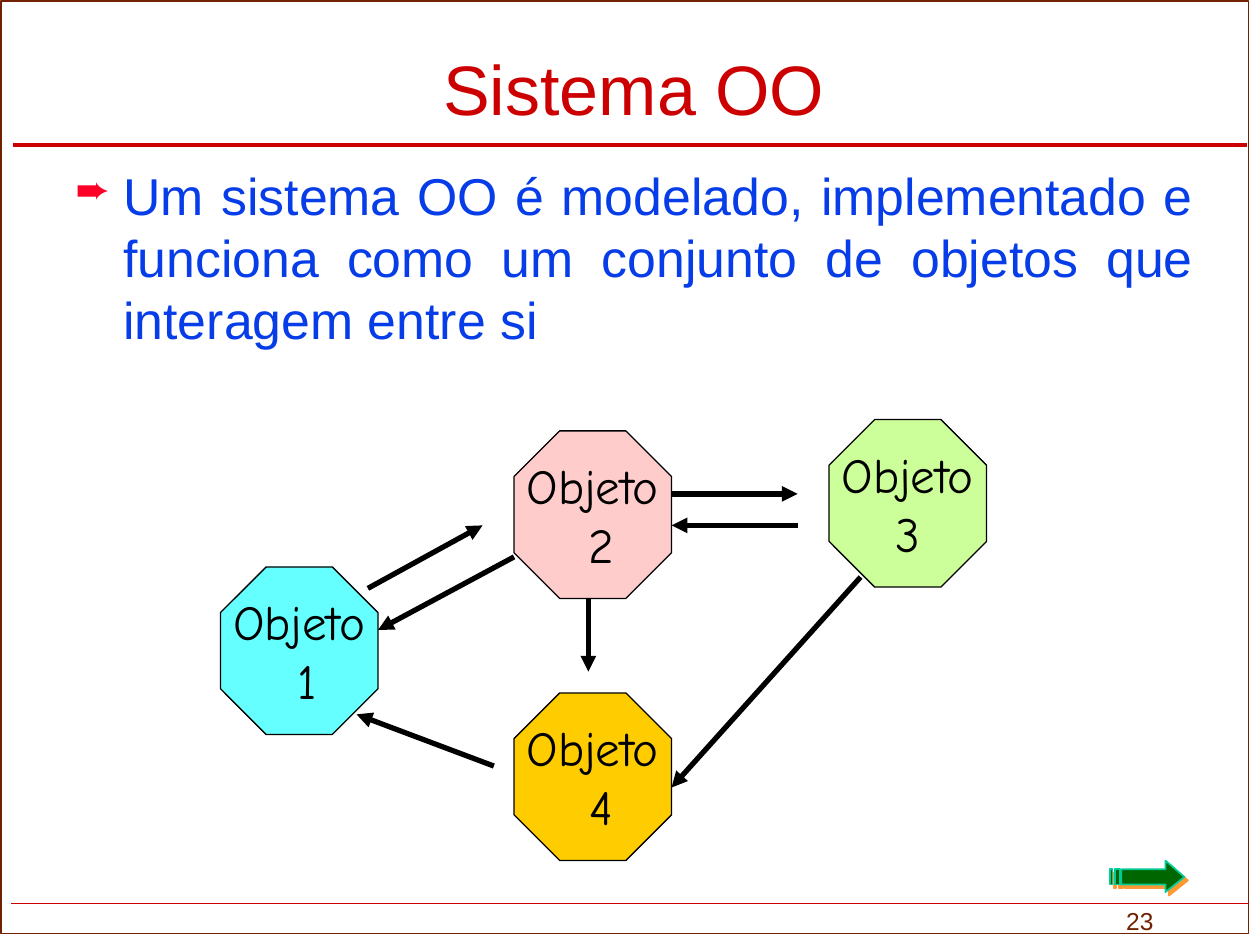
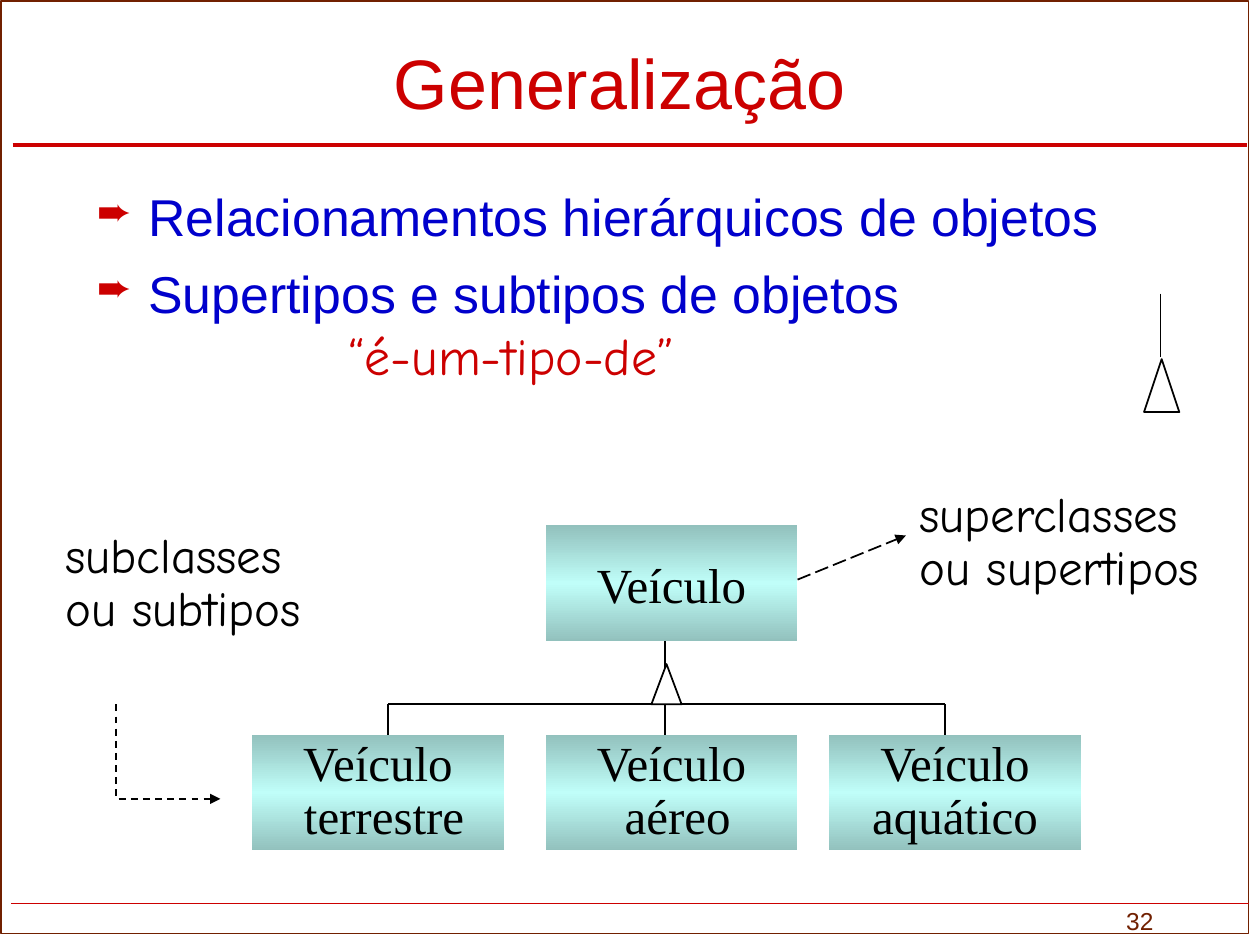
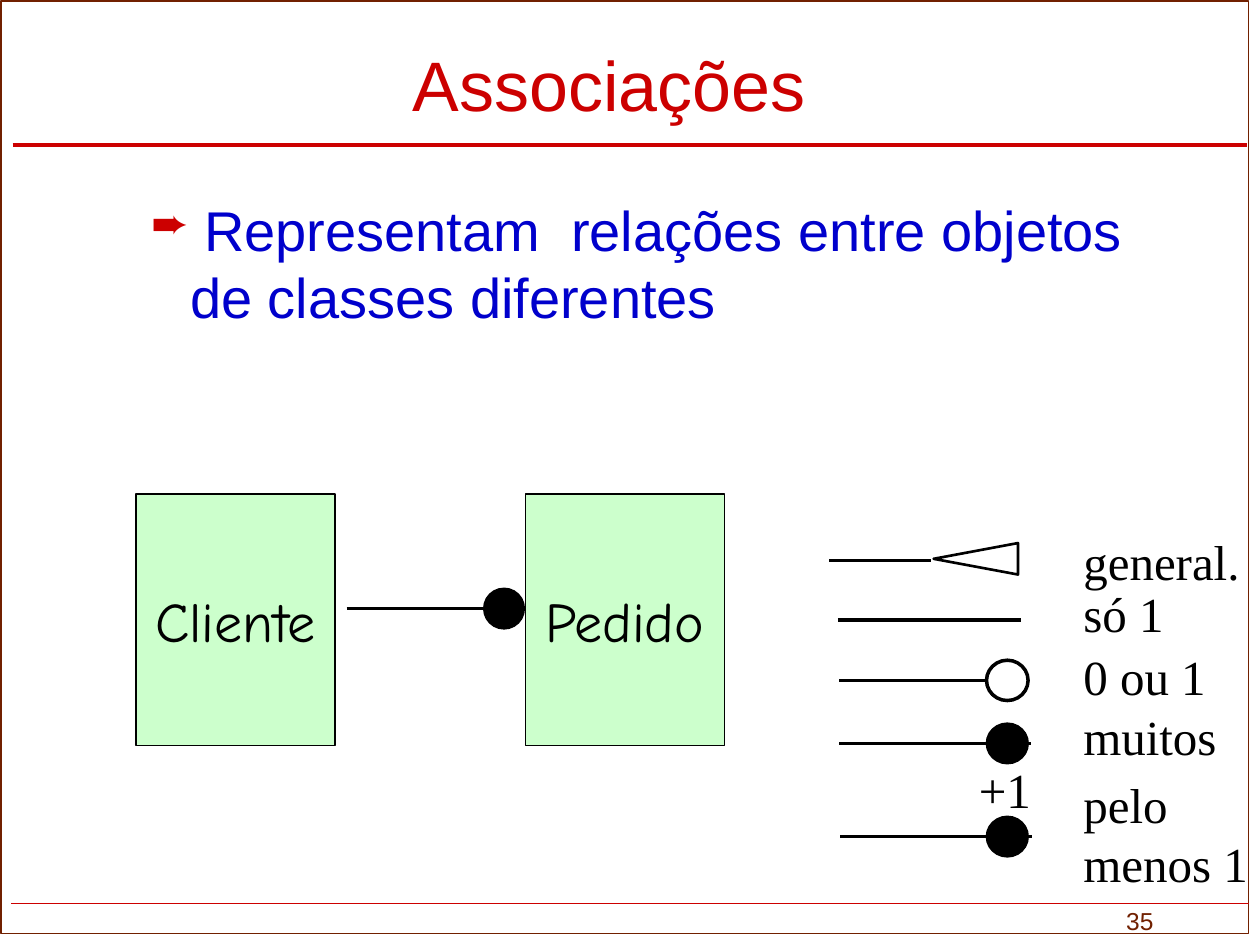
from dataclasses import dataclass
from typing import Any, NamedTuple, Optional

from lxml import etree
from pptx import Presentation, util as u
from pptx.dml.color import RGBColor
from pptx.enum import dml, shapes, text
from pptx.oxml import ns

MIDDLE, BOTTOM, TOP = (text.MSO_ANCHOR.MIDDLE, text.MSO_ANCHOR.BOTTOM,
                       text.MSO_ANCHOR.TOP)
CENTER, JUSTIFY = text.PP_ALIGN.CENTER, text.PP_ALIGN.JUSTIFY
Shape = shapes.MSO_SHAPE


@dataclass(frozen=True)
class Theme:
    # Colours
    red: str = "CC0000"
    brown: str = "712000"
    black: str = "000000"
    white: str = "FFFFFF"
    blue: str = "0000CC"
    bright_blue: str = "063DE8"
    bright_red: str = "FC0128"
    class_green: str = "CCFFCC"
    box_edge: str = "92C1BD"
    box_middle: str = "C0FEF9"
    arrow_fill: str = "006600"
    arrow_line: str = "00CC99"
    arrow_shadow: str = "FF9933"
    # Fonts
    sans: str = "Arial"
    hand: str = "Comic Neue"
    serif: str = "Times New Roman"
    # Type sizes
    title: float = 40
    large: float = 32
    body: float = 29.6
    label: float = 28
    number: float = 14


T = Theme()


class Box(NamedTuple):
    left: float
    top: float
    width: float
    height: float

    def inches(self) -> list:
        return [u.Inches(value) for value in self]


class Style(NamedTuple):
    font: str
    size: float
    color: str = T.black


class Bullet(NamedTuple):
    color: str
    margin: float
    hanging: float


class Arrow(NamedTuple):
    x1: float
    y1: float
    x2: float
    y2: float


class ObjectNode(NamedTuple):
    left: float
    top: float
    fill: str
    number: str


class LegendRow(NamedTuple):
    label: str
    text_top: float
    text_width: float
    text_height: float
    line_y: float
    line_left: float
    line_right: float
    circle: Optional[str] = None


HAND = Style(T.hand, T.label)
SERIF = Style(T.serif, T.label)


# Formatting helpers
def set_values(target: Any, values: dict) -> None:
    for name, value in values.items():
        setattr(target, name, value)


def child(parent: Any, tag: str, **attributes: str) -> Any:
    return etree.SubElement(parent, ns.qn(tag), attributes)


def add_run(paragraph: Any, words: str, style: Style) -> None:
    run = paragraph.add_run()
    run.text = words
    set_values(run.font, {"name": style.font, "size": u.Pt(style.size)})
    run.font.color.rgb = RGBColor.from_string(style.color)


def write(shape: Any, lines: list[str], style: Style, wrap: bool = True,
          anchor: Any = TOP, **paragraph_format: Any) -> Any:
    frame = shape.text_frame
    set_values(frame, {
        "word_wrap": wrap, "vertical_anchor": anchor,
        "auto_size": text.MSO_AUTO_SIZE.NONE,
        "margin_left": u.Inches(0.1), "margin_right": u.Inches(0.1),
        "margin_top": u.Inches(0.05), "margin_bottom": u.Inches(0.05)})
    for index, line in enumerate(lines):
        paragraph = frame.paragraphs[0] if index == 0 else frame.add_paragraph()
        set_values(paragraph, paragraph_format)
        add_run(paragraph, line, style)
    return frame


def add_text(slide: Any, box: Box, lines: list[str], style: Style,
             **options: Any) -> Any:
    return write(slide.shapes.add_textbox(*box.inches()), lines, style, **options)


def set_indent(paragraph: Any, margin: float, first: float = 0) -> Any:
    properties = paragraph._p.get_or_add_pPr()
    properties.set("marL", str(u.Inches(margin)))
    properties.set("indent", str(u.Inches(first)))
    return properties


def add_bullet(paragraph: Any, bullet: Bullet) -> None:
    properties = set_indent(paragraph, bullet.margin, -bullet.hanging)
    child(child(properties, "a:buClr"), "a:srgbClr", val=bullet.color)
    child(properties, "a:buSzPct", val="80000")
    child(properties, "a:buChar", char="➨")


def paint(shape: Any, fill: Optional[str], line: Optional[str],
          width: float = 1) -> None:
    shape.shadow.inherit = False
    if fill:
        shape.fill.solid()
        shape.fill.fore_color.rgb = RGBColor.from_string(fill)
    else:
        shape.fill.background()
    if line:
        shape.line.color.rgb = RGBColor.from_string(line)
        shape.line.width = u.Pt(width)
    else:
        shape.line.fill.background()


def add_arrowhead(shape: Any) -> None:
    child(shape.line._get_or_add_ln(), "a:tailEnd", type="triangle")


# Drawing helpers
def add_figure(slide: Any, kind: Any, box: Box, fill: Optional[str],
               line: Optional[str] = T.black, width: float = 1) -> Any:
    figure = slide.shapes.add_shape(kind, *box.inches())
    paint(figure, fill, line, width)
    return figure


def add_line(slide: Any, ends: Arrow, width: float = 1, color: str = T.black,
             dash: Any = None, arrow: bool = False) -> None:
    line = slide.shapes.add_connector(
        shapes.MSO_CONNECTOR.STRAIGHT, *[u.Inches(value) for value in ends])
    line.line.color.rgb = RGBColor.from_string(color)
    line.line.width = u.Pt(width)
    if dash:
        line.line.dash_style = dash
    if arrow:
        add_arrowhead(line)
    child(line._element.spPr, "a:effectLst")


def add_outline(slide: Any, contours: list[list[tuple[float, float]]],
                close: bool = True) -> Any:
    points = [[(u.Inches(x), u.Inches(y)) for x, y in contour]
              for contour in contours]
    builder = slide.shapes.build_freeform(*points[0][0])
    for index, contour in enumerate(points):
        if index:
            builder.move_to(*contour[0])
        builder.add_line_segments(contour[1:], close=close)
    return builder.convert_to_shape()


def add_vehicle_box(slide: Any, left: float, top: float, lines: list[str]) -> None:
    box = add_figure(slide, Shape.RECTANGLE, Box(left, top, 2, 0.92), None, None)
    box.fill.gradient()
    box.fill.gradient_angle = 90
    stops = box._element.spPr.find(".//" + ns.qn("a:gsLst"))
    for stop in list(stops):
        stops.remove(stop)
    for position, color in ((0, T.box_edge), (50000, T.box_middle),
                            (100000, T.box_edge)):
        child(child(stops, "a:gs", pos=str(position)), "a:srgbClr", val=color)
    write(box, lines, SERIF, wrap=False, anchor=MIDDLE, alignment=CENTER,
          line_spacing=0.9 if len(lines) > 1 else 1.0)


# Shared slide: frame, rules, title and page number
def new_slide(deck: Any, title: str, box: Box, number: str,
              anchor: Any = MIDDLE) -> Any:
    slide = deck.slides.add_slide(deck.slide_layouts[5])
    add_figure(slide, Shape.RECTANGLE, Box(0.01, 0.01, 9.9, 7.4), None, T.brown)
    add_line(slide, Arrow(0.1, 1.15, 9.9, 1.15), 2, T.red)
    add_line(slide, Arrow(0.09, 7.17, 9.91, 7.17), 1, T.red)
    add_text(slide, Box(8.84, 7.14, 1.16, 0.36), [number],
             Style(T.sans, T.number, T.brown), wrap=False)
    heading = slide.shapes.title
    set_values(heading, dict(zip(("left", "top", "width", "height"), box.inches())))
    write(heading, [title], Style(T.sans, T.title, T.red), anchor=anchor,
          alignment=CENTER)
    return slide


def build_system(deck: Any) -> None:
    slide = new_slide(deck, "Sistema OO", Box(0.67, 0, 8.72, 1.08), "23", BOTTOM)
    frame = add_text(
        slide, Box(0.5, 1.25, 9.08, 1.67),
        ["Um sistema OO é modelado, implementado e funciona como um conjunto "
         "de objetos que interagem entre si"],
        Style(T.sans, T.body, T.bright_blue), alignment=JUSTIFY)
    add_bullet(frame.paragraphs[0], Bullet(T.bright_red, 0.38, 0.38))

    # Objects
    for node in (ObjectNode(1.75, 4.5, "66FFFF", " 1"),
                 ObjectNode(4.08, 3.42, "FFCCCC", " 2"),
                 ObjectNode(4.08, 5.5, "FFCC00", " 4"),
                 ObjectNode(6.58, 3.33, "CCFF99", "3")):
        octagon = add_figure(slide, Shape.OCTAGON,
                             Box(node.left, node.top, 1.25, 1.33), node.fill,
                             width=0.75)
        octagon.adjustments[0] = 0.29
        write(octagon, ["Objeto", node.number], HAND, wrap=False, anchor=MIDDLE,
              alignment=CENTER)

    # Messages between objects
    for message in (Arrow(2.92, 4.67, 3.83, 4.17), Arrow(4.08, 4.42, 3, 5),
                    Arrow(5.33, 3.92, 6.33, 3.92), Arrow(6.33, 4.17, 5.33, 4.17),
                    Arrow(6.83, 4.58, 5.33, 6.25), Arrow(4.67, 4.75, 4.67, 5.33),
                    Arrow(3.92, 6.08, 2.83, 5.67)):
        add_line(slide, message, 3, arrow=True)

    # Striped arrow with its offset shadow
    top, bottom = 6.9, 7.02
    stripes = [[(left, top), (left, bottom), (right, bottom), (right, top)]
               for left, right in ((8.85, 8.89), (8.81, 8.83))]
    pointer = [(9.25, 6.83), (9.25, top), (8.9, top), (8.9, bottom),
               (9.25, bottom), (9.25, 7.08), (9.4, 6.96)]
    next_arrow = add_outline(slide, [pointer, *stripes])
    paint(next_arrow, T.arrow_fill, T.arrow_line)
    effects = next_arrow._element.spPr.find(ns.qn("a:effectLst"))
    shadow = child(effects, "a:outerShdw", dist=str(u.Pt(2.8)), dir="2700000",
                   algn="ctr", rotWithShape="0")
    child(shadow, "a:srgbClr", val=T.arrow_shadow)


def build_generalization(deck: Any) -> None:
    slide = new_slide(deck, "Generalização", Box(1.08, 0.13, 7.67, 1.04), "32")
    frame = add_text(slide, Box(0.67, 1.42, 8.75, 2.08),
                     ["Relacionamentos hierárquicos de objetos",
                      "Supertipos e subtipos de objetos"],
                     Style(T.sans, T.body, T.blue))
    for paragraph in frame.paragraphs:
        add_bullet(paragraph, Bullet(T.red, 0.41, 0.41))
    frame.paragraphs[1].space_before = u.Pt(8)
    relation = frame.add_paragraph()
    set_indent(relation, 2)
    add_run(relation, "“é-um-tipo-de”", Style(T.hand, T.body, T.red))

    # Generalization symbol
    add_line(slide, Arrow(9.21, 2.33, 9.21, 2.83), 0.75)
    add_figure(slide, Shape.ISOSCELES_TRIANGLE, Box(9.08, 2.85, 0.28, 0.42), T.white)

    # Class tree
    branch_y, child_top = 5.59, 5.83
    add_line(slide, Arrow(5.28, 5.09, 5.28, child_top))
    add_line(slide, Arrow(3.08, branch_y, 7.5, branch_y))
    for branch_x in (3.08, 7.5):
        add_line(slide, Arrow(branch_x, branch_y, branch_x, child_top))
    add_figure(slide, Shape.ISOSCELES_TRIANGLE, Box(5.17, 5.27, 0.24, 0.32), T.white)
    add_vehicle_box(slide, 4.33, 4.17, ["Veículo"])
    for left, subtype in ((2, " terrestre"), (4.33, " aéreo"), (6.58, "aquático")):
        add_vehicle_box(slide, left, child_top, ["Veículo", subtype])

    # Remarks
    add_text(slide, Box(7.2, 3.84, 2.63, 0.94), ["superclasses ou supertipos"],
             HAND, line_spacing=0.9)
    add_line(slide, Arrow(6.33, 4.6, 7.19, 4.25), dash=dml.MSO_LINE.LONG_DASH,
             arrow=True)
    add_text(slide, Box(0.42, 4.17, 2.16, 0.94), ["subclasses ou subtipos"],
             HAND, line_spacing=0.9)
    elbow = add_outline(slide, [[(0.92, 5.59), (0.92, 6.34), (1.75, 6.34)]],
                        close=False)
    paint(elbow, None, T.black)
    elbow.line.dash_style = dml.MSO_LINE.DASH
    add_arrowhead(elbow)


def build_associations(deck: Any) -> None:
    slide = new_slide(deck, "Associações", Box(1.67, 0.08, 6.33, 1.17), "35")
    frame = add_text(slide, Box(1, 1.5, 8.58, 1.17), [" "],
                     Style(T.serif, T.large))
    definition = frame.paragraphs[0]
    add_run(definition, "Representam  relações entre objetos de classes diferentes",
            Style(T.sans, T.large, T.blue))
    add_bullet(definition, Bullet(T.red, 0.41, 0.31))

    # Associated classes
    add_line(slide, Arrow(2.75, 4.83, 4.18, 4.83), 2)
    add_figure(slide, Shape.OVAL, Box(3.84, 4.67, 0.32, 0.32), T.black)
    for left, name in ((1.08, "Cliente"), (4.17, "Pedido")):
        entity = add_figure(slide, Shape.RECTANGLE, Box(left, 3.92, 1.58, 2),
                            T.class_green, width=0.75)
        write(entity, [name], Style(T.hand, T.large), wrap=False, anchor=MIDDLE,
              alignment=CENTER)

    # Legend of notations
    for row in (
            LegendRow("general.", 4.17, 1.58, 0.56, 4.45, 6.58, 7.39),
            LegendRow("só 1", 4.58, 1, 0.56, 4.92, 6.65, 8.1),
            LegendRow("0 ou 1", 5.08, 1.25, 0.56, 5.4, 6.66, 8, T.white),
            LegendRow("muitos", 5.56, 1.33, 0.56, 5.9, 6.66, 8.18, T.black),
            LegendRow("pelo menos 1", 6.1, 1.58, 1.03, 6.64, 6.67, 8.19, T.black)):
        add_line(slide, Arrow(row.line_left, row.line_y, row.line_right, row.line_y),
                 1.5 if row.label == "general." else 2)
        if row.circle:
            add_figure(slide, Shape.OVAL, Box(7.83, row.line_y - 0.16, 0.33, 0.32),
                       row.circle, width=2 if row.circle == T.white else 1)
        add_text(slide, Box(8.5, row.text_top, row.text_width, row.text_height),
                 [row.label], SERIF)
    add_text(slide, Box(7.67, 5.98, 0.75, 0.56), ["+1"], SERIF)
    triangle = add_figure(slide, Shape.ISOSCELES_TRIANGLE,
                          Box(7.62, 4.1, 0.25, 0.67), T.white, width=1.5)
    triangle.rotation = 270


def main() -> None:
    deck = Presentation()
    set_values(deck, {"slide_width": u.Inches(10), "slide_height": u.Inches(7.5)})
    build_system(deck)
    build_generalization(deck)
    build_associations(deck)
    deck.save("out.pptx")


if __name__ == "__main__":
    main()
